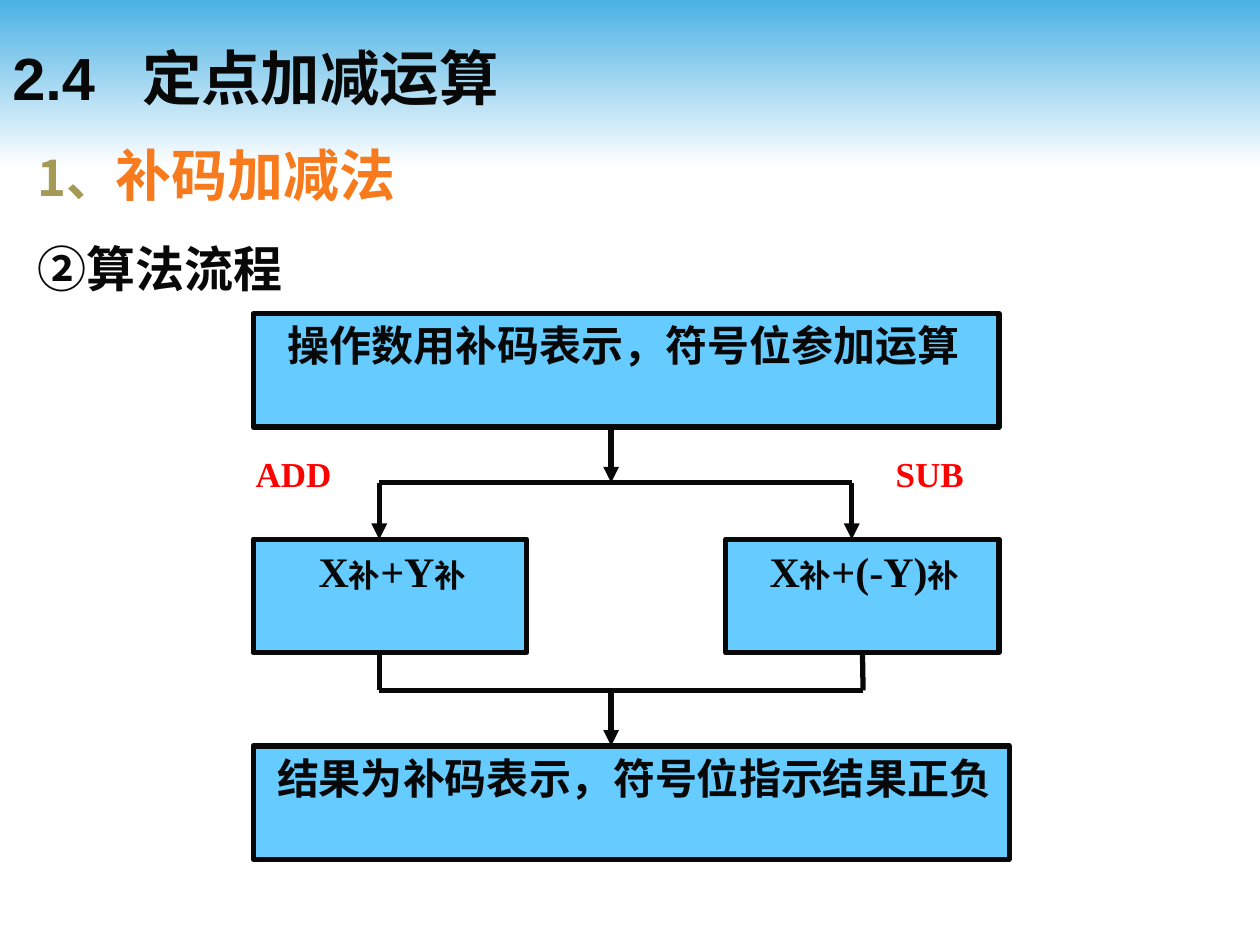
"""Builds the slide on the flow of two's complement addition and subtraction."""
from dataclasses import dataclass

from lxml.etree import SubElement
from pptx import Presentation
from pptx.dml.color import RGBColor as RGB
from pptx.enum.shapes import MSO_CONNECTOR as CONN, MSO_SHAPE as SHAPE
from pptx.enum.text import MSO_ANCHOR as ANCHOR
from pptx.oxml.ns import qn
from pptx.util import Inches, Pt


@dataclass(frozen=True)
class Theme:
    ink: RGB = RGB.from_string("080808")
    sky: RGB = RGB.from_string("4AB1E4")
    white: RGB = RGB.from_string("FFFFFF")
    box: RGB = RGB.from_string("66CCFF")
    olive: RGB = RGB.from_string("A59A55")
    orange: RGB = RGB.from_string("F77A1D")
    red: RGB = RGB.from_string("FF0000")
    title_font: str = "Arial"
    head_font: str = "Noto Sans CJK JP"
    flow_font: str = "Times New Roman"
    title: int = 34
    topic: int = 32
    head: int = 28
    flow: int = 24
    label: int = 20
    small: int = 18
    line: int = 3


T = Theme()

TITLE = "2.4\t定点加减运算"
TITLE_TAB = 1.03
HEADINGS = [
    [("1、", T.head, T.olive), ("补码加减法", T.topic, T.orange)],
    [("②算法流程", T.head, T.ink)],
]
HEAD_INDENT = 0.38

LEFT, BOX_H = 2.01, 0.9
TOP_Y, MID_Y, END_Y = 2.49, 4.28, 5.92
BOXES = {
    "start": (LEFT, TOP_Y, 5.92),
    "add": (LEFT, MID_Y, 2.17),
    "sub": (5.76, MID_Y, 2.17),
    "result": (LEFT, END_Y, 6),
}
FLOW_TEXTS = [
    (2.18, TOP_Y, 6.08, [("操作数用补码表示，符号位参加运算", T.flow)]),
    (2.1, END_Y, 6.25, [("结果为补码表示，符号位指示结果正负", T.flow)]),
    (2.43, MID_Y, 2, [("X", T.flow), ("补", T.small), ("+Y", T.flow), ("补", T.small)]),
    (6.01, MID_Y, 2, [("X", T.flow), ("补", T.small), ("+(-Y)", T.flow), ("补", T.small)]),
]
LABELS = [(1.93, "ADD"), (7.01, "SUB")]
LABEL_Y = 3.54

SPLIT_Y, JOIN_Y = 3.83, 5.48
ADD_X, MAIN_X, SUB_X, SUB_OUT_X = 3.01, 4.85, 6.76, 6.85
BARS = [(ADD_X, SUB_X, SPLIT_Y), (ADD_X, SUB_OUT_X, JOIN_Y)]
ARROWS = [
    (MAIN_X, TOP_Y + BOX_H, SPLIT_Y),
    (ADD_X, SPLIT_Y, MID_Y),
    (SUB_X, SPLIT_Y, MID_Y),
    (MAIN_X, JOIN_Y, END_Y),
]


def add_rect(s, x, y, w, h):
    sp = s.shapes.add_shape(SHAPE.RECTANGLE, *map(Inches, (x, y, w, h)))
    sp.shadow.inherit = False
    return sp


def add_text(s, x, y, w, h, paragraphs, font, anchor=ANCHOR.TOP):
    tf = s.shapes.add_textbox(*map(Inches, (x, y, w, h))).text_frame
    tf.word_wrap = True
    tf.vertical_anchor = anchor
    for i, runs in enumerate(paragraphs):
        p = tf.add_paragraph() if i else tf.paragraphs[0]
        p.font.name, p.font.bold = font, True
        for text, size, color in runs:
            r = p.add_run()
            r.text = text
            r.font.size, r.font.color.rgb = Pt(size), color
    return tf


def add_line(s, x1, y1, x2, y2, arrow=False):
    c = s.shapes.add_connector(CONN.STRAIGHT, *map(Inches, (x1, y1, x2, y2)))
    c.line.color.rgb, c.line.width = T.ink, Pt(T.line)
    if arrow:
        SubElement(c.line._get_or_add_ln(), qn("a:tailEnd"), type="triangle")
    SubElement(c._element.spPr, qn("a:effectLst"))
    return c


def add_banner(s):
    sp = add_rect(s, 0, 0, 10, 1.33)
    sp.line.fill.background()
    sp.fill.gradient()
    sp.fill.gradient_angle = 270
    for stop, color, pos in zip(sp.fill.gradient_stops, (T.sky, T.white), (0, 1)):
        stop.color.rgb, stop.position = color, pos


def add_headings(s):
    tf = add_text(s, 0, 0.21, 10, 0.79, [[(TITLE, T.title, T.ink)]],
                  T.title_font, ANCHOR.MIDDLE)
    tabs = tf.paragraphs[0]._p.get_or_add_pPr()
    tab_list = SubElement(tabs, qn("a:tabLst"))
    tabs.insert(0, tab_list)
    SubElement(tab_list, qn("a:tab"), pos=str(Inches(TITLE_TAB)), algn="l")
    tf = add_text(s, 0.2, 1.07, 9.61, 6.06, HEADINGS, T.head_font)
    tf.paragraphs[1].space_before = Pt(17.5)
    for p in tf.paragraphs:
        pPr = p._p.get_or_add_pPr()
        pPr.set("marL", str(Inches(HEAD_INDENT)))
        pPr.set("indent", str(-Inches(HEAD_INDENT)))


def add_flow(s):
    boxes = {}
    for name, (x, y, w) in BOXES.items():
        sp = boxes[name] = add_rect(s, x, y, w, BOX_H)
        sp.fill.solid()
        sp.fill.fore_color.rgb = T.box
        sp.line.color.rgb, sp.line.width = T.ink, Pt(T.line)
    for x, y, w, runs in FLOW_TEXTS:
        add_text(s, x, y, w, 0.5, [[(t, size, T.ink) for t, size in runs]], T.flow_font)
    for x1, x2, y in BARS:
        add_line(s, x1, y, x2, y)
    for x, y1, y2 in ARROWS:
        add_line(s, x, y1, x, y2, arrow=True)
    add_line(s, ADD_X, MID_Y + BOX_H, ADD_X, JOIN_Y)
    c = add_line(s, SUB_OUT_X, MID_Y + BOX_H, SUB_OUT_X, JOIN_Y)
    c.begin_connect(boxes["sub"], 2)
    for x, text in LABELS:
        add_text(s, x, LABEL_Y, 1, 0.44, [[(text, T.label, T.red)]], T.flow_font)


def main():
    prs = Presentation()
    prs.slide_width, prs.slide_height = Inches(10), Inches(7.5)
    s = prs.slides.add_slide(prs.slide_layouts[6])
    add_banner(s)
    add_headings(s)
    add_flow(s)
    prs.save("out.pptx")


if __name__ == "__main__":
    main()
